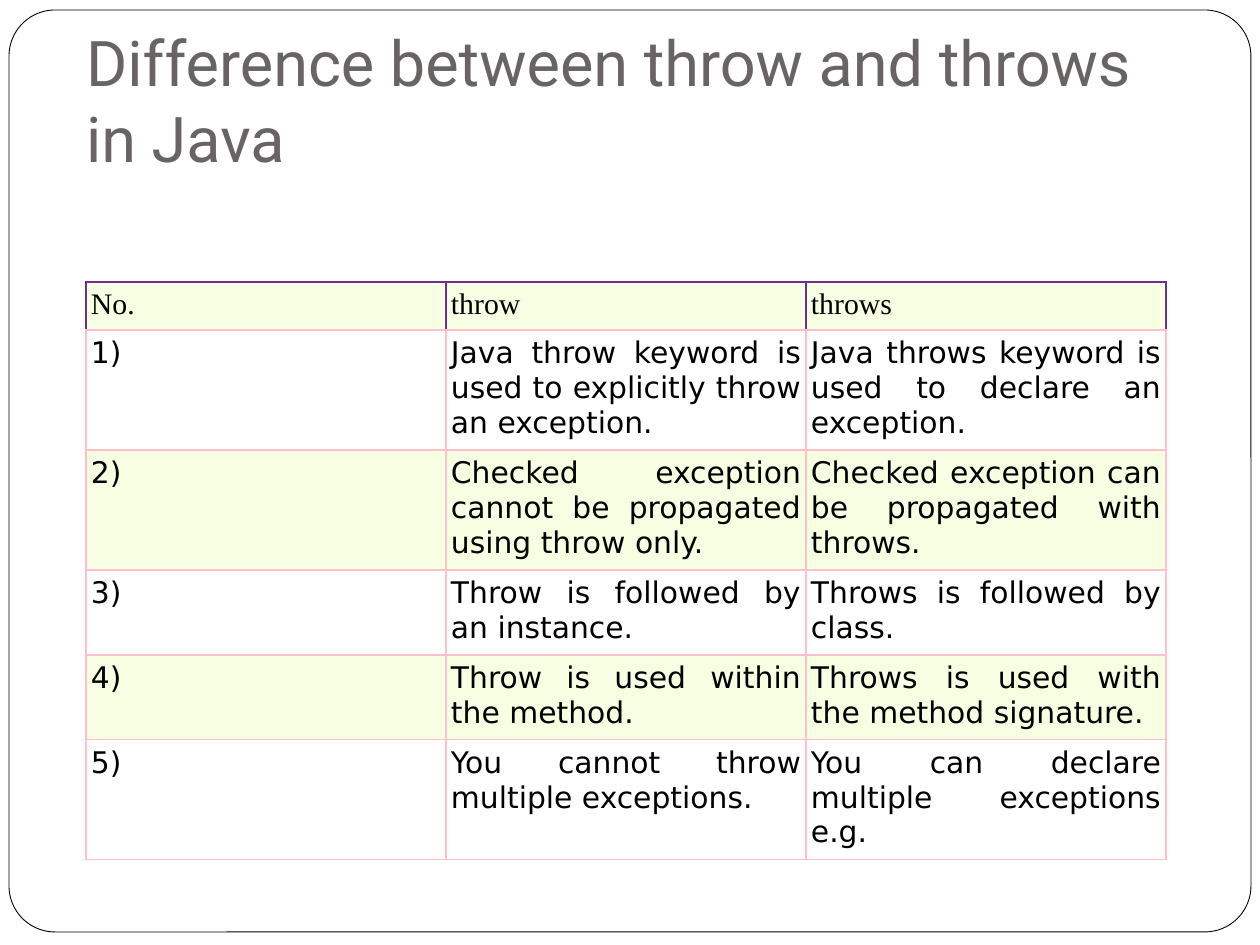
from lxml.etree import SubElement as Sub
from pptx import Presentation as Deck
from pptx.dml.color import RGBColor as RGB
from pptx.enum.shapes import MSO_SHAPE as Kind
from pptx.enum.text import MSO_ANCHOR as Anchor, MSO_AUTO_SIZE as Fit, PP_ALIGN as Align
from pptx.oxml.ns import qn
from pptx.util import Pt

EMU = 914400 / 126
BLACK = RGB(0x00, 0x00, 0x00)
WHITE = RGB(0xFF, 0xFF, 0xFF)
GRAY = RGB(0x69, 0x64, 0x64)
LIME = RGB(0xF6, 0xFF, 0xE1)
PINK = RGB(0xFF, 0xC0, 0xCB)
PLUM = RGB(0x70, 0x2D, 0x93)

ROWS = [
    ("No.", "throw", "throws"),
    ("1)", "Java throw keyword is used to explicitly throw an exception.",
     "Java throws keyword is used to declare an exception."),
    ("2)", "Checked exception cannot be propagated using throw only.",
     "Checked exception can be propagated with throws."),
    ("3)", "Throw is followed by an instance.", "Throws is followed by class."),
    ("4)", "Throw is used within the method.",
     "Throws is used with the method signature."),
    ("5)", "You cannot throw multiple exceptions.",
     "You can declare multiple exceptions e.g."),
]
TALL = [48, 120, 120, 85, 85, 120]


def px(num):
    return round(num * EMU)


def apply(item, vals):
    for key, val in vals.items():
        setattr(item, key, val)


class Page:
    head = {"name": "Roboto", "size": Pt(36), "bold": False}
    top = {"name": "Times New Roman", "size": Pt(17), "bold": False}
    body = {"name": "DejaVu Sans", "size": Pt(17), "bold": False}
    pad = {"margin_left": px(5), "margin_right": px(5),
           "margin_top": px(6), "margin_bottom": px(6),
           "vertical_anchor": Anchor.TOP}

    def __init__(self, deck):
        self.slide = deck.slides.add_slide(deck.slide_layouts[5])
        self.shapes = self.slide.shapes

    def text(self, frame, words, font, color, align):
        para = frame.paragraphs[0]
        para.alignment = align
        run = para.add_run()
        run.text = words
        apply(run.font, font)
        run.font.color.rgb = color

    def title(self, words, x, y, w, h):
        box = self.shapes.title
        apply(box, {"left": px(x), "top": px(y), "width": px(w), "height": px(h)})
        apply(box.text_frame, {
            "word_wrap": True, "auto_size": Fit.NONE,
            "vertical_anchor": Anchor.BOTTOM,
            "margin_left": px(13), "margin_right": px(13),
            "margin_top": px(6), "margin_bottom": px(88)})
        self.text(box.text_frame, words, self.head, GRAY, Align.LEFT)

    def border(self, x, y, w, h):
        box = self.shapes.add_shape(Kind.ROUNDED_RECTANGLE, px(x), px(y), px(w), px(h))
        box.adjustments[0] = 0.05
        box.shadow.inherit = False
        box.fill.solid()
        box.fill.fore_color.rgb = WHITE
        box.line.color.rgb = BLACK
        box.line.width = Pt(0.5)
        self.shapes.title.element.addprevious(box.element)

    def edges(self, cell, hues):
        props = cell._tc.get_or_add_tcPr()
        for side, hue in hues.items():
            line = Sub(props, qn("a:ln" + side), w=str(Pt(0.75)))
            fill = Sub(line, qn("a:solidFill"))
            Sub(fill, qn("a:srgbClr"), val=str(hue))

    def table(self, rows, tall, x, y, wide):
        count = len(rows[0])
        grid = self.shapes.add_table(len(rows), count, px(x), px(y),
                                     px(wide * count), px(sum(tall))).table
        apply(grid, {"first_row": False, "horz_banding": False})
        for col in grid.columns:
            col.width = px(wide)
        for r, texts in enumerate(rows):
            grid.rows[r].height = px(tall[r])
            hue, font, align = (PINK, self.body, Align.JUSTIFY) if r else (
                PLUM, self.top, Align.LEFT)
            for c, words in enumerate(texts):
                cell = grid.cell(r, c)
                apply(cell, self.pad)
                self.edges(cell, {"L": hue, "R": hue, "T": hue, "B": PINK})
                cell.fill.solid()
                cell.fill.fore_color.rgb = WHITE if r % 2 else LIME
                self.text(cell.text_frame, words, font, BLACK, align)


def main():
    deck = Deck()
    apply(deck, {"slide_width": px(1260), "slide_height": px(945)})
    page = Page(deck)
    page.border(9, 10, 1242, 922)
    page.title("Difference between throw and throws in Java", 73, 105, 1134, 158)
    page.table(ROWS, TALL, 86, 282, 360)
    deck.save("out.pptx")


if __name__ == "__main__":
    main()
